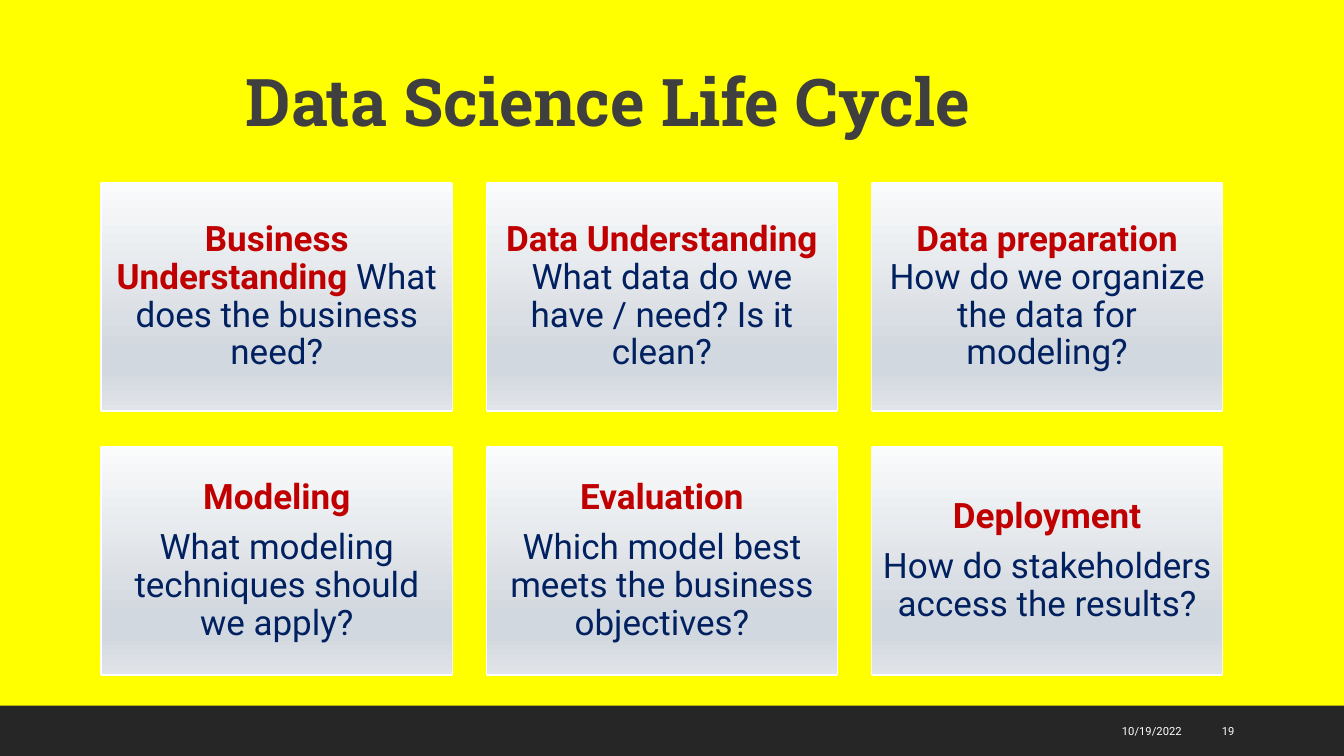
import pptx
import pptx.dml.color
import pptx.enum.shapes
import pptx.enum.text
import pptx.oxml.ns
import pptx.util
from lxml import etree

Inches = pptx.util.Inches
Pt = pptx.util.Pt
ALIGN = pptx.enum.text.PP_ALIGN
ANCHOR = pptx.enum.text.MSO_ANCHOR
RECT = pptx.enum.shapes.MSO_SHAPE.RECTANGLE
qn = pptx.oxml.ns.qn

STOPS = [(0, "FAFBFB"), (74, "D2D8DF"), (83, "D2D8DF"), (100, "E1E5E9")]

# Each stage: name, question, whether the question starts a new paragraph
STAGES = [
    ("Business Understanding", "What does the business need?", False),
    ("Data Understanding", "What data do we have / need? Is it clean?", False),
    ("Data preparation", "How do we organize the data for modeling?", False),
    ("Modeling", "What modeling techniques should we apply?", True),
    ("Evaluation", "Which model best meets the business objectives?", True),
    ("Deployment", "How do stakeholders access the results?", True),
]


def color(code):
    return pptx.dml.color.RGBColor.from_string(code)


def write(para, text, size=25, font="Roboto", ink="002060", bold=False):
    run = para.add_run()
    run.text = text
    run.font.size = Pt(size)
    run.font.name = font
    run.font.bold = bold
    run.font.color.rgb = color(ink)


class Deck:
    body = "002060"
    accent = "C00000"

    def __init__(self, width, height, back):
        self.show = pptx.Presentation()
        self.show.slide_width = Inches(width)
        self.show.slide_height = Inches(height)
        self.slide = self.show.slides.add_slide(self.show.slide_layouts[6])
        self.slide.background.fill.solid()
        self.slide.background.fill.fore_color.rgb = color(back)

    def rect(self, box, fill=None, line=None):
        shape = self.slide.shapes.add_shape(RECT, *map(Inches, box))
        shape.shadow.inherit = False
        if fill:
            shape.fill.solid()
            shape.fill.fore_color.rgb = color(fill)
        if line:
            shape.line.color.rgb = color(line)
            shape.line.width = Pt(2)
        else:
            shape.line.fill.background()
        return shape

    def shade(self, shape):
        shape.fill.gradient()
        shape.fill.gradient_angle = 270
        stops = shape._element.spPr.find(".//" + qn("a:gsLst"))
        for stop in list(stops):
            stops.remove(stop)
        for place, code in STOPS:
            stop = etree.SubElement(stops, qn("a:gs"), pos=str(place * 1000))
            etree.SubElement(stop, qn("a:srgbClr"), val=code)

    def frame(self, shape, anchor, pad=0.05):
        frame = shape.text_frame
        frame.word_wrap = True
        frame.vertical_anchor = anchor
        frame.margin_left = frame.margin_right = Inches(0.1)
        frame.margin_top = frame.margin_bottom = Inches(pad)
        return frame

    def label(self, box, text, anchor=ANCHOR.MIDDLE, align=ALIGN.LEFT,
              space=1.0, **style):
        shape = self.slide.shapes.add_textbox(*map(Inches, box))
        para = self.frame(shape, anchor).paragraphs[0]
        para.alignment = align
        para.line_spacing = space
        write(para, text, **style)

    def card(self, box, name, ask, split):
        self.rect(box, fill="0C0C0C", line="FFFFFF")
        panel = self.rect(box)
        self.shade(panel)
        frame = self.frame(panel, ANCHOR.MIDDLE, pad=0.1)
        para = frame.paragraphs[0]
        write(para, name if split else name + " ", ink=self.accent, bold=True)
        if split:
            para = frame.add_paragraph()
            para.space_before = Pt(8.8)
        write(para, ask, ink=self.body)
        for para in frame.paragraphs:
            para.alignment = ALIGN.CENTER
            para.line_spacing = 0.9


def main():
    deck = Deck(13.33, 7.5, "FFFF00")

    # Footer bar and title
    deck.rect((0, 7, 13.33, 0.5), fill="262626")
    deck.label((2.34, 0.39, 8.65, 1.05), "Data Science Life Cycle",
               anchor=ANCHOR.BOTTOM, space=0.9, size=47,
               font="Roboto Slab", ink="3F3F3F", bold=True)

    # Stages in a grid of three columns
    for index, stage in enumerate(STAGES):
        row, col = divmod(index, 3)
        deck.card((1.01 + 3.82 * col, 1.82 + 2.62 * row, 3.47, 2.25), *stage)

    # Date and slide number
    deck.label((8.99, 7.05, 2.83, 0.4), "10/19/2022",
               align=ALIGN.RIGHT, size=8, ink="FFFFFF")
    deck.label((12.02, 7.05, 0.85, 0.4), "19", size=8, ink="FFFFFF")

    deck.show.save("out.pptx")


if __name__ == "__main__":
    main()
